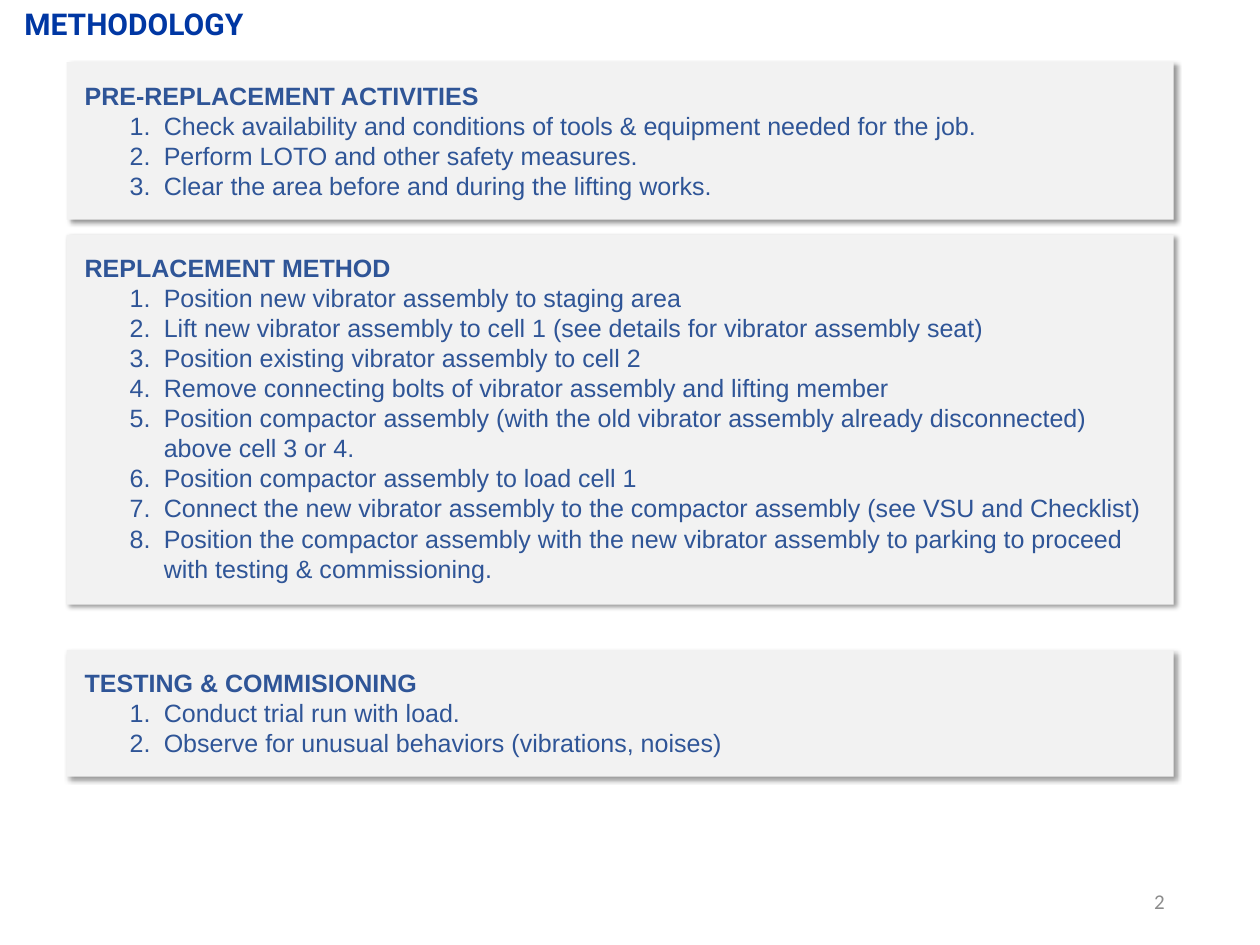
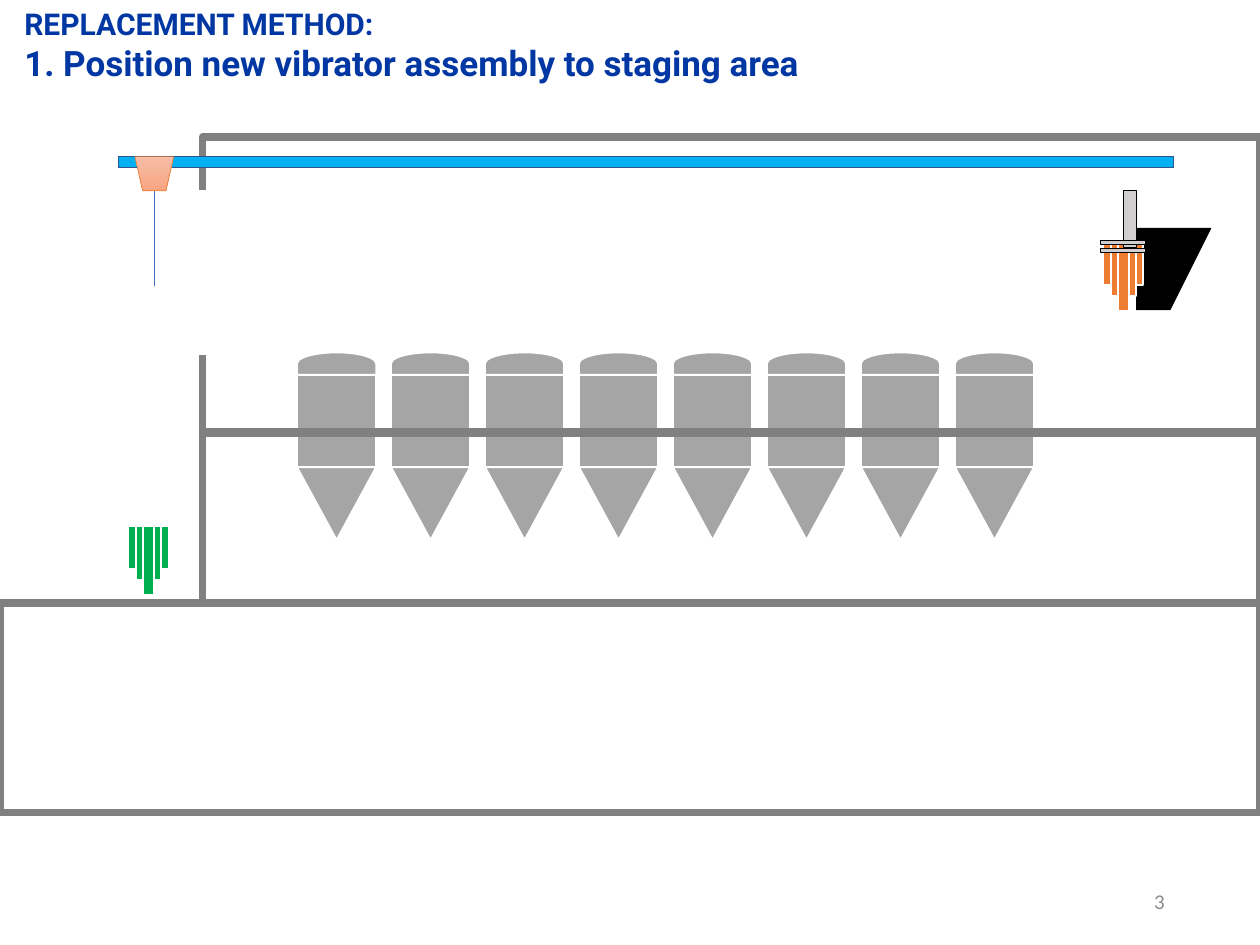
from lxml import etree
from pptx import Presentation
from pptx.dml.color import RGBColor
from pptx.enum.shapes import MSO_CONNECTOR, MSO_SHAPE
from pptx.enum.text import MSO_ANCHOR, MSO_AUTO_SIZE, PP_ALIGN
from pptx.oxml.ns import qn
from pptx.util import Inches, Pt

RECT = MSO_SHAPE.RECTANGLE
CONE = MSO_SHAPE.FLOWCHART_MERGE
DOME = MSO_SHAPE.FLOWCHART_DELAY
TROLLEY = MSO_SHAPE.FLOWCHART_MANUAL_OPERATION
COMPARISON, TITLE_ONLY = 4, 5  # layouts of the default template
SLIDE_W, SLIDE_H = 14, 10.5

THEME = {
    "title": dict(name="Roboto", size=24, color="0037A3", bold=True),
    "step": dict(name="Roboto", size=28, color="0037A3", bold=True),
    "heading": dict(name="Arial", size=20, color="2F5597", bold=True),
    "item": dict(name="Arial", size=20, color="2F5597", bold=False),
    "number": dict(name="Calibri", size=16.8, color="8C8C8C", bold=False),
    "panel": "F2F2F2", "shadow": "000000",
    "wall": "808080", "silo": "A5A5A5", "white": "FFFFFF", "black": "000000",
    "rail": "00B0F0", "rail_edge": "325491", "steel": "D0CECE",
    "old": "ED7D31", "new": "00B050", "rope": "4472C4",
    "trolley": ("F7BDA5", "F8A582"),
}

# Content: heading, top, height and numbered items of each panel
PANELS = [
    ("PRE-REPLACEMENT ACTIVITIES", 0.69, 1.75, [
        "Check availability and conditions of tools & equipment needed for the job.",
        "Perform LOTO and other safety measures.",
        "Clear the area before and during the lifting works."]),
    ("REPLACEMENT METHOD", 2.61, 4.11, [
        "Position new vibrator assembly to staging area",
        "Lift new vibrator assembly to cell 1 (see details for vibrator assembly seat)",
        "Position existing vibrator assembly to cell 2",
        "Remove connecting bolts of vibrator assembly and lifting member",
        "Position compactor assembly (with the old vibrator assembly already "
        "disconnected) above cell 3 or 4.",
        "Position compactor assembly to load cell 1",
        "Connect the new vibrator assembly to the compactor assembly (see VSU and Checklist)",
        "Position the compactor assembly with the new vibrator assembly to parking "
        "to proceed with testing & commissioning."]),
    ("TESTING & COMMISIONING", 7.22, 1.41, [
        "Conduct trial run with load.",
        "Observe for unusual behaviors (vibrations, noises)"]),
]
METHOD_TITLE = [("METHODOLOGY", "title")]
STAGING_TITLE = [("REPLACEMENT METHOD:", "title"),
                 ("1. Position new vibrator assembly to staging area", "step")]

# Plant geometry
PANEL_X, PANEL_W = 0.74, 12.3
SILOS, SILO_X, LAST_SILO_X, SILO_W = 8, 3.3, 10.61, 0.88
SILO_PITCH = (LAST_SILO_X - SILO_X) / (SILOS - 1)
WALL_X = 2.25
ROOMS = [(WALL_X, 4.81, SLIDE_W - WALL_X, 1.89),
         (0, 6.7, SLIDE_W, 2.33),
         (WALL_X, 1.52, SLIDE_W - WALL_X, 3.28)]
VIBRATOR_RODS = [(0.45, 0.47), (0.28, 0.59), (0.12, 0.76)]
LIFTING_MEMBER = [(12.48, 2.12, 0.15, 0.63), (12.23, 2.76, 0.5, 0.05),
                  (12.23, 2.67, 0.5, 0.05)]
HOPPER = [(13, 3.44), (13.45, 2.54), (12.63, 2.54), (12.63, 3.44)]


def rgb(value):
    return RGBColor.from_string(value)


def place(sp, x, y, w, h):
    sp.left, sp.top, sp.width, sp.height = map(Inches, (x, y, w, h))


def write(p, text, style):
    r = p.add_run()
    r.text = text
    f = THEME[style]
    for key, value in dict(name=f["name"], size=Pt(f["size"]), bold=f["bold"]).items():
        setattr(r.font, key, value)
    r.font.color.rgb = rgb(f["color"])


def setup_text(tf, anchor, inset=None):
    settings = dict(word_wrap=True, auto_size=MSO_AUTO_SIZE.NONE, vertical_anchor=anchor)
    if inset:
        for side in ("left", "top", "right", "bottom"):
            settings["margin_" + side] = Inches(inset)
    for key, value in settings.items():
        setattr(tf, key, value)


def new_paragraph(tf, index):
    p = tf.add_paragraph() if index else tf.paragraphs[0]
    for key, value in dict(alignment=PP_ALIGN.LEFT, line_spacing=1.0,
                           space_before=Pt(0), space_after=Pt(0)).items():
        setattr(p, key, value)
    return p


def set_bullet(p, margin, indent, numbered):
    pPr = p._p.get_or_add_pPr()
    pPr.set("marL", str(Inches(margin)))
    pPr.set("indent", str(Inches(indent)))
    if numbered:
        etree.SubElement(pPr, qn("a:buFont"), typeface="+mj-lt")
        etree.SubElement(pPr, qn("a:buAutoNum"), type="arabicPeriod")
    else:
        etree.SubElement(pPr, qn("a:buNone"))


def add_slide(prs, layout, title_lines, title_box, number):
    s = prs.slides.add_slide(prs.slide_layouts[layout])
    title = s.shapes.title
    place(title, *title_box)
    setup_text(title.text_frame, MSO_ANCHOR.TOP)
    for i, (text, style) in enumerate(title_lines):
        write(new_paragraph(title.text_frame, i), text, style)
    box = s.shapes.add_textbox(*map(Inches, (9.89, 9.73, 3.15, 0.56)))
    setup_text(box.text_frame, MSO_ANCHOR.MIDDLE)
    p = box.text_frame.paragraphs[0]
    p.alignment = PP_ALIGN.RIGHT
    write(p, str(number), "number")
    return s


def paint(sp, fill=None, line=None, weight=1):
    sp.shadow.inherit = False
    if fill:
        sp.fill.solid()
        sp.fill.fore_color.rgb = rgb(THEME[fill])
    else:
        sp.fill.background()
    if line:
        sp.line.color.rgb = rgb(THEME[line])
        sp.line.width = Pt(weight)
    else:
        sp.line.fill.background()


def draw(shapes, kind, box, fill=None, line=None, weight=1):
    sp = shapes.add_shape(kind, *map(Inches, box))
    paint(sp, fill, line, weight)
    return sp


def drop_shadow(sp):
    effects = sp._element.spPr.find(qn("a:effectLst"))
    shadow = etree.SubElement(effects, qn("a:outerShdw"), blurRad=str(Pt(4)),
                              dist=str(Pt(3)), dir="2700000", algn="tl", rotWithShape="0")
    color = etree.SubElement(shadow, qn("a:srgbClr"), val=THEME["shadow"])
    etree.SubElement(color, qn("a:alpha"), val="40000")


def fill_panel(sp, heading, top, height, items):
    place(sp, PANEL_X, top, PANEL_W, height)
    paint(sp, "panel")
    drop_shadow(sp)
    tf = sp.text_frame
    setup_text(tf, MSO_ANCHOR.TOP, inset=0.2)
    p = new_paragraph(tf, 0)
    set_bullet(p, 0, 0, numbered=False)
    write(p, heading, "heading")
    for i, item in enumerate(items, 1):
        p = new_paragraph(tf, i)
        p.level = 1
        set_bullet(p, 0.88, -0.38, numbered=True)
        write(p, item, "item")


def draw_silos(s):
    group = s.shapes.add_group_shape().shapes
    for i in range(SILOS):
        x = SILO_X + i * SILO_PITCH
        look = dict(fill="silo", line="white", weight=1.5)
        draw(group, RECT, (x, 4.16, SILO_W, 1.04), **look)
        draw(group, CONE, (x, 5.19, SILO_W, 0.81), **look)
        dome_h = 0.25
        dome = draw(group, DOME, (x + (SILO_W - dome_h) / 2, 3.6, dome_h, SILO_W), **look)
        dome.rotation = 270


def draw_vibrator(s, center, top, fill):
    group = s.shapes.add_group_shape().shapes
    for w, h in VIBRATOR_RODS:
        draw(group, RECT, (center - w / 2, top, w, h), fill, "white", 1.5)


def draw_hopper(s):
    points = [(Inches(x), Inches(y)) for x, y in HOPPER]
    builder = s.shapes.build_freeform(*points[0])
    builder.add_line_segments(points[1:], close=True)
    paint(builder.convert_to_shape(), "black", "black")


def draw_crane(s):
    trolley = draw(s.shapes, TROLLEY, (1.5, 1.74, 0.43, 0.38), line="old", weight=0.5)
    trolley.fill.gradient()
    trolley.fill.gradient_angle = 270
    for stop, color in zip(trolley.fill.gradient_stops, THEME["trolley"]):
        stop.color.rgb = rgb(color)
    rope = s.shapes.add_connector(MSO_CONNECTOR.STRAIGHT,
                                  *map(Inches, (1.71, 2.12, 1.71, 3.18)))
    rope.line.color.rgb = rgb(THEME["rope"])
    rope.line.width = Pt(0.5)
    etree.SubElement(rope._element.spPr, qn("a:effectLst"))


def build_methodology(prs):
    s = add_slide(prs, COMPARISON, METHOD_TITLE, (0.17, 0.01, 10.93, 0.5), 2)
    bodies = [ph for ph in s.placeholders if ph.placeholder_format.idx]
    for sp, panel in zip(bodies, PANELS):
        fill_panel(sp, *panel)
    for sp in bodies[len(PANELS):]:
        sp.element.getparent().remove(sp.element)


def build_staging(prs):
    s = add_slide(prs, TITLE_ONLY, STAGING_TITLE, (0.17, 0.01, 13.83, 1.38), 3)
    draw_silos(s)
    # Building, with a wall opening and the crane rail
    for room in ROOMS:
        draw(s.shapes, RECT, room, line="wall", weight=6)
    draw(s.shapes, RECT, (1.93, 2.12, 0.67, 1.82), "white", "white")
    draw(s.shapes, RECT, (1.32, 1.74, 11.72, 0.12), "rail", "rail_edge")
    # Existing vibrator on its lifting member, beside the hopper
    draw_hopper(s)
    draw_vibrator(s, 12.48, 2.7, "old")
    member = s.shapes.add_group_shape().shapes
    for box in LIFTING_MEMBER:
        draw(member, RECT, box, "steel", "black")
    # New vibrator under the crane
    draw_vibrator(s, 1.65, 5.85, "new")
    draw_crane(s)


def main():
    prs = Presentation()
    prs.slide_width, prs.slide_height = Inches(SLIDE_W), Inches(SLIDE_H)
    build_methodology(prs)
    build_staging(prs)
    prs.save("out.pptx")


if __name__ == "__main__":
    main()
